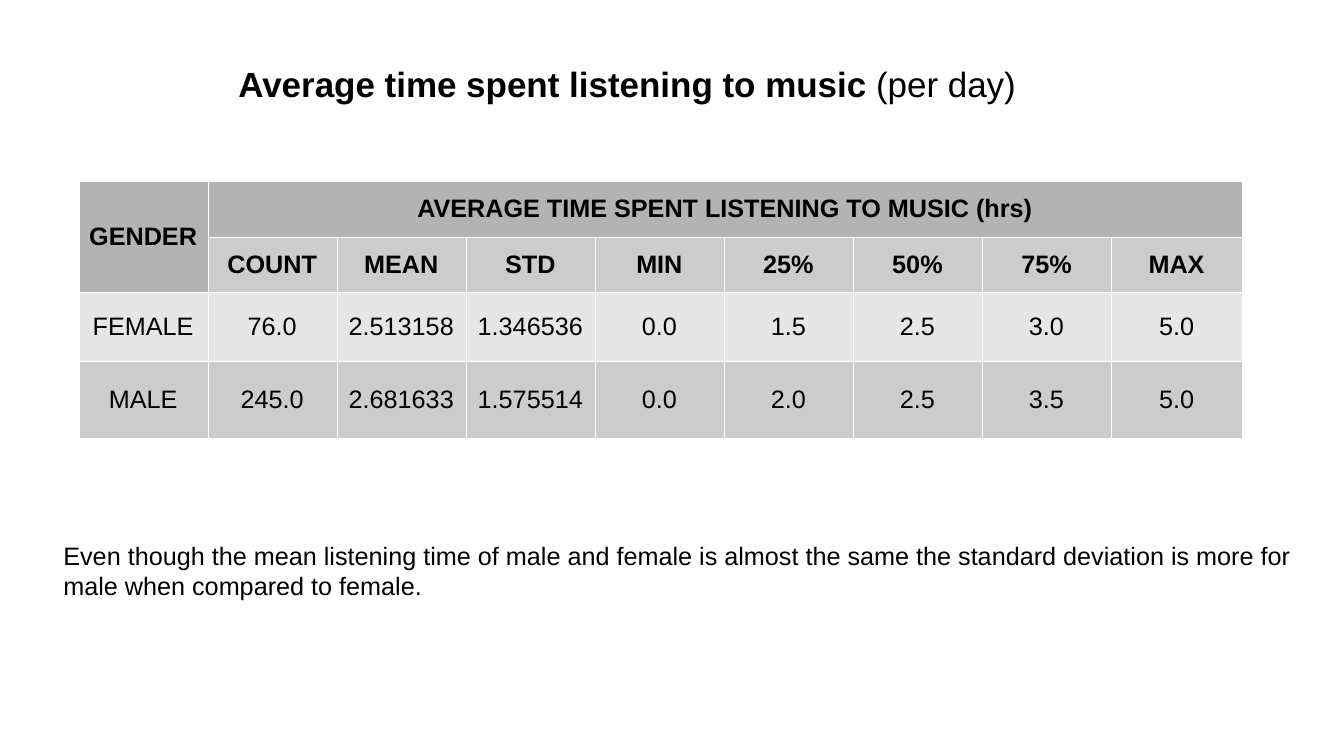
"""Build a slide with a table of daily music listening time by gender."""
from lxml import etree
from pptx import Presentation
from pptx.dml.color import RGBColor
from pptx.enum.text import MSO_ANCHOR as Anchor, PP_ALIGN as Align
from pptx.oxml import parse_xml
from pptx.oxml.ns import nsdecls
from pptx.util import Inches, Pt


def style(p, size, bold=False, color="000000"):
    for r in p.runs:
        r.font.name = "Arial"
        r.font.size = Pt(size)
        r.font.bold = bold
        r.font.color.rgb = RGBColor.from_string(color)


def fill_cell(cell, fill, border="FFFFFF"):
    cell.fill.solid()
    cell.fill.fore_color.rgb = RGBColor.from_string(fill)
    tcPr = cell._tc.get_or_add_tcPr()
    for i, side in enumerate(("lnL", "lnR", "lnT", "lnB")):
        tcPr.insert(i, parse_xml(
            f'<a:{side} {nsdecls("a")} w="720"><a:solidFill>'
            f'<a:srgbClr val="{border}"/></a:solidFill></a:{side}>'))


prs = Presentation()
prs.slide_width, prs.slide_height = Inches(13.33), Inches(7.5)
s = prs.slides.add_slide(prs.slide_layouts[5])

title = s.shapes.title
title.left, title.top = Inches(0.53), Inches(0.59)
title.width, title.height = Inches(11.48), Inches(0.88)
tf = title.text_frame
tf.margin_left = tf.margin_top = 0
tf.margin_right, tf.margin_bottom = Inches(0.1), Inches(0.4)
tf.vertical_anchor = Anchor.MIDDLE
p = tf.paragraphs[0]
p.alignment = Align.CENTER
for text in ("Average time spent listening to music ", "(per day)"):
    p.add_run().text = text
style(p, 25)
p.runs[0].font.bold = True

rows = [
    ["GENDER", "AVERAGE TIME SPENT LISTENING TO MUSIC (hrs)"] + [""] * 7,
    ["", "COUNT", "MEAN", "STD", "MIN", "25%", "50%", "75%", "MAX"],
    ["FEMALE", "76.0", "2.513158", "1.346536", "0.0", "1.5", "2.5", "3.0", "5.0"],
    ["MALE", "245.0", "2.681633", "1.575514", "0.0", "2.0", "2.5", "3.5", "5.0"],
]
row_heights = [0.55, 0.55, 0.68, 0.77]
row_fills = ["B3B3B3", "CCCCCC", "E6E6E6", "CCCCCC"]
table = s.shapes.add_table(len(rows), len(rows[0]), Inches(0.78), Inches(1.8),
                           Inches(11.55), Inches(sum(row_heights))).table
table.first_row = table.horz_banding = False
for col in table.columns:
    col.width = Inches(1.28)
table.columns[8].width = Inches(1.3)
for i, values in enumerate(rows):
    table.rows[i].height = Inches(row_heights[i])
    for j, value in enumerate(values):
        cell = table.cell(i, j)
        cell.text = value
        cell.vertical_anchor = Anchor.MIDDLE
        p = cell.text_frame.paragraphs[0]
        p.alignment = Align.CENTER
        style(p, 18, bold=i < 2)
        fill_cell(cell, row_fills[i])
table.cell(0, 0).merge(table.cell(1, 0))
table.cell(0, 1).merge(table.cell(0, 8))

note = s.shapes.add_textbox(Inches(0.53), Inches(5.31), Inches(12.81), Inches(0.98))
tf = note.text_frame
tf.word_wrap = True
tf.text = ("Even though the mean listening time of male and female is almost the same "
           "the standard deviation is more for male when compared to female.")
style(tf.paragraphs[0], 18)

prs.save("out.pptx")
